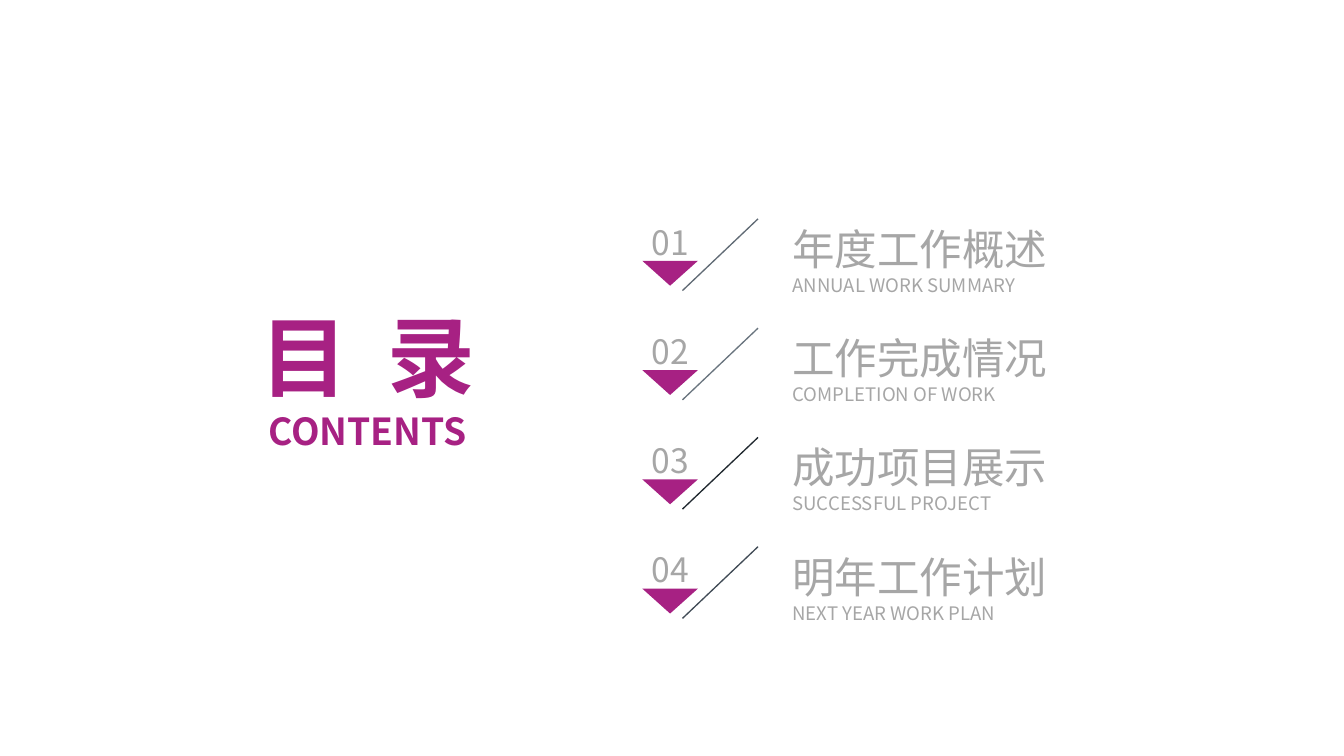
from dataclasses import dataclass

from lxml import etree
from pptx import Presentation
from pptx.dml.color import RGBColor
from pptx.enum.shapes import MSO_CONNECTOR
from pptx.enum.text import MSO_ANCHOR, MSO_AUTO_SIZE, PP_ALIGN
from pptx.oxml.ns import qn
from pptx.util import Inches, Pt

LEFT, CENTER = PP_ALIGN.LEFT, PP_ALIGN.CENTER
TOP, MIDDLE, BOTTOM = MSO_ANCHOR.TOP, MSO_ANCHOR.MIDDLE, MSO_ANCHOR.BOTTOM
STRAIGHT = MSO_CONNECTOR.STRAIGHT
NO_AUTOFIT = MSO_AUTO_SIZE.NONE
TITLE_ONLY = 5


@dataclass(frozen=True)
class Theme:
    font: str = "Noto Sans CJK SC"
    accent: str = "A72183"
    grey: str = "A6A6A6"
    title: float = 66
    subtitle: float = 28
    heading: float = 32
    caption: float = 14
    number: float = 25.3


THEME = Theme()

SECTIONS = [
    ("年度工作概述", "ANNUAL WORK SUMMARY", "606A74"),
    ("工作完成情况", "COMPLETION OF WORK", "69747E"),
    ("成功项目展示", "SUCCESSFUL PROJECT", "20282F"),
    ("明年工作计划", "NEXT YEAR WORK PLAN", "414B56"),
]
FIRST_ROW = 2.29
ROW_PITCH = 3.43 / 3


def add_span(para, text, *, size, color, bold=False, tracking=0):
    """Add a run; tracking is extra letter spacing in points."""
    span = para.add_run()
    span.text = text
    font = span.font
    font.name, font.size, font.bold = THEME.font, Pt(size), bold
    font.color.rgb = RGBColor.from_string(color)
    properties = span._r.get_or_add_rPr()
    east_asian = etree.Element(qn("a:ea"), typeface=THEME.font)
    properties.find(qn("a:latin")).addnext(east_asian)
    if tracking:
        properties.set("spc", str(round(tracking * 100)))


def fill_text(box, lines, *, align=LEFT, anchor=TOP):
    """Write lines, each a list of (text, format) spans, into a box."""
    frame = box.text_frame
    frame.word_wrap = True
    frame.auto_size = NO_AUTOFIT
    frame.vertical_anchor = anchor
    frame.margin_left = frame.margin_right = 0
    frame.margin_top = frame.margin_bottom = 0
    for index, spans in enumerate(lines):
        para = frame.add_paragraph() if index else frame.paragraphs[0]
        para.alignment = align
        para.line_spacing = 1.0
        para.space_before = Pt(0)
        for text, style in spans:
            add_span(para, text, **style)


def add_text(shapes, left, top, width, height, lines, **layout):
    box = shapes.add_textbox(
        Inches(left), Inches(top), Inches(width), Inches(height))
    fill_text(box, lines, **layout)


def add_slash(shapes, top, color):
    slash = shapes.add_connector(
        STRAIGHT, Inches(7.93), Inches(top), Inches(7.14), Inches(top + 0.75))
    slash.line.color.rgb = RGBColor.from_string(color)
    slash.line.width = Pt(1)
    etree.SubElement(slash._element.spPr, qn("a:effectLst"))


def add_pointer(shapes, top):
    """Add the triangle that points down below a number."""
    builder = shapes.build_freeform(Inches(6.72), Inches(top))
    builder.add_line_segments(
        [(Inches(7.3), Inches(top)), (Inches(7.01), Inches(top + 0.26))])
    pointer = builder.convert_to_shape()
    pointer.shadow.inherit = False
    pointer.fill.solid()
    pointer.fill.fore_color.rgb = RGBColor.from_string(THEME.accent)
    pointer.line.fill.background()


def add_section(page, number, heading, caption, slash_color):
    top = FIRST_ROW + (number - 1) * ROW_PITCH
    add_text(page.shapes, 8.29, top + 0.04, 3.35, 0.77, [
        [(heading, dict(size=THEME.heading, color=THEME.grey))],
        [(caption, dict(size=THEME.caption, color=THEME.grey))],
    ], anchor=MIDDLE)
    marker = page.shapes.add_group_shape().shapes
    add_slash(marker, top, slash_color)
    add_pointer(marker, top + 0.44)
    add_text(marker, 6.7, top + 0.02, 0.62, 0.43, [
        [(f"{number:02}", dict(size=THEME.number, color=THEME.grey))],
    ], align=CENTER, anchor=BOTTOM)


def add_heading(page):
    title = page.shapes.title
    title.left, title.top = Inches(2.28), Inches(3.16)
    title.width, title.height = Inches(3.14), Inches(1.11)
    style = dict(size=THEME.title, color=THEME.accent, bold=True)
    fill_text(title, [[("目 ", dict(style, tracking=7.4)), ("录", style)]],
              align=CENTER, anchor=MIDDLE)
    add_text(page.shapes, 2.29, 4.27, 3.11, 0.47, [
        [("CONTENTS", dict(style, size=THEME.subtitle))],
    ], align=CENTER)


def main():
    deck = Presentation()
    deck.slide_width, deck.slide_height = Inches(14.06), Inches(7.91)
    page = deck.slides.add_slide(deck.slide_layouts[TITLE_ONLY])
    for number, section in enumerate(SECTIONS, start=1):
        add_section(page, number, *section)
    add_heading(page)
    deck.save("out.pptx")


if __name__ == "__main__":
    main()
